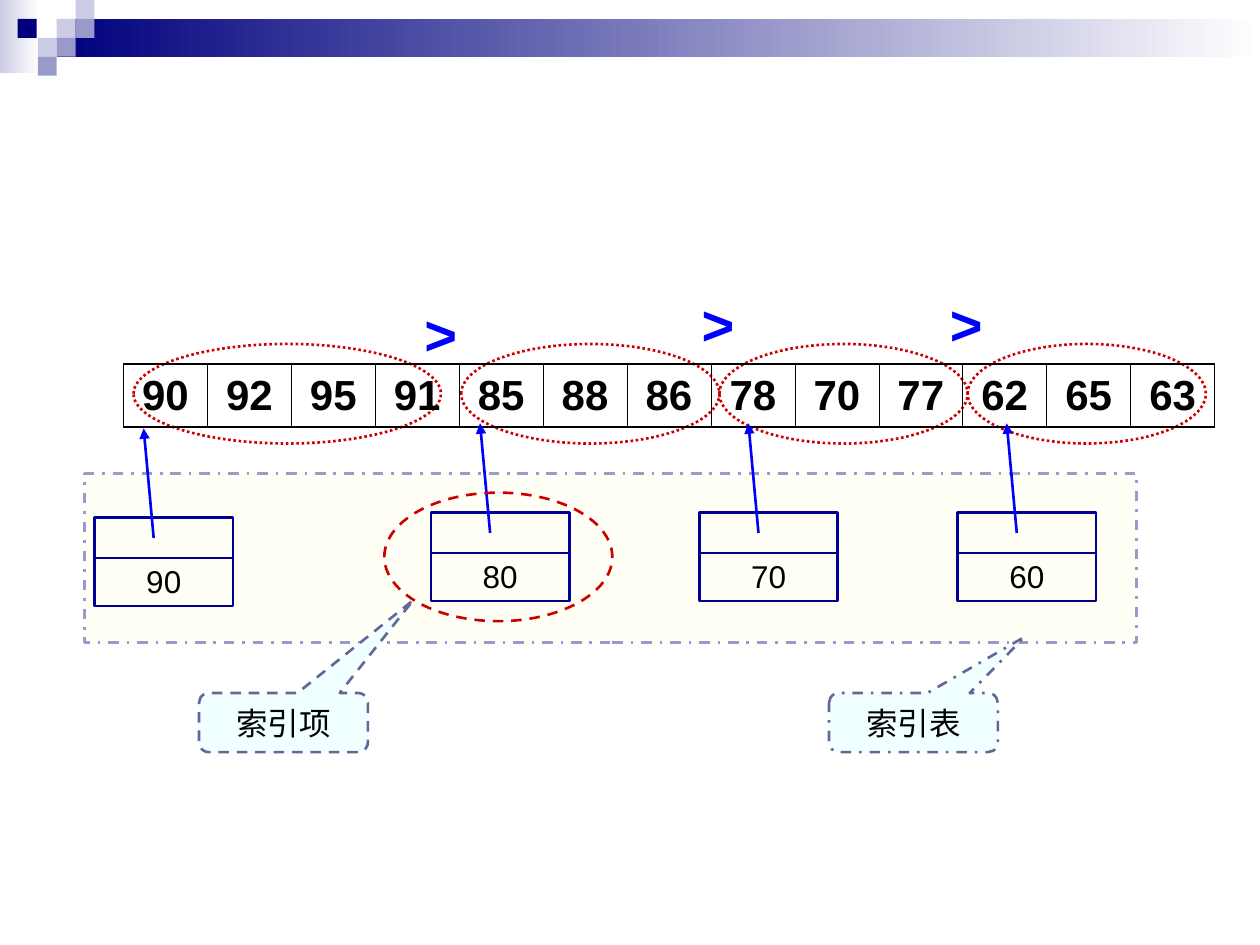
"""Build a slide showing a block-indexed sequence and its index table."""
from lxml import etree
from pptx import Presentation
from pptx.dml.color import RGBColor
from pptx.enum.dml import MSO_LINE
from pptx.enum.shapes import MSO_CONNECTOR, MSO_SHAPE
from pptx.enum.text import MSO_ANCHOR, PP_ALIGN
from pptx.oxml.ns import qn
from pptx.util import Inches, Pt

RECTANGLE = MSO_SHAPE.RECTANGLE
OVAL = MSO_SHAPE.OVAL
CALLOUT = MSO_SHAPE.ROUNDED_RECTANGULAR_CALLOUT
STRAIGHT = MSO_CONNECTOR.STRAIGHT
DASH = MSO_LINE.DASH
DASH_DOT = MSO_LINE.DASH_DOT
DOTTED = MSO_LINE.ROUND_DOT
CENTER = PP_ALIGN.CENTER
LEFT = PP_ALIGN.LEFT
MIDDLE = MSO_ANCHOR.MIDDLE
BOTTOM = MSO_ANCHOR.BOTTOM
TOP = MSO_ANCHOR.TOP

FONT = "Arial"
COLORS = {
    "black": "000000",
    "white": "FFFFFF",
    "navy": "00007D",
    "lavender": "CCCCE6",
    "periwinkle": "9999CC",
    "ivory": "FFFFF5",
    "red": "CC0000",
    "entry": "000099",
    "pointer": "0000FF",
    "callout": "F0FFFF",
    "callout_line": "666699",
}
VALUES = [90, 92, 95, 91, 85, 88, 86, 78, 70, 77, 62, 65, 63]
BLOCK_OVALS = [(1.06, 2.44), (3.66, 2.05), (5.71, 1.97), (7.68, 1.89)]
INDEX_ENTRIES = [("90", 0.75, 4.11), ("80", 3.42, 4.07), ("70", 5.55, 4.07), ("60", 7.6, 4.07)]
GREATER_SIGNS = [(3.27, 2.33), (5.47, 2.25), (7.44, 2.25)]
SQUARE = 0.15
HEADER_SQUARES = [
    (0.45, 0.15, "lavender"),
    (0.6, 0, "lavender"),
    (0.6, 0.15, "periwinkle"),
    (0.3, 0.3, "lavender"),
    (0.14, 0.15, "navy"),
    (0.45, 0.3, "periwinkle"),
    (0.3, 0.45, "periwinkle"),
]


def color(name):
    """Return the named palette colour."""
    return RGBColor.from_string(COLORS[name])


def write_text(frame, text, size, color_name="black", bold=False, align=CENTER, anchor=MIDDLE):
    """Write one run into a text frame."""
    frame.word_wrap = True
    frame.vertical_anchor = anchor
    paragraph = frame.paragraphs[0]
    paragraph.alignment = align
    run = paragraph.add_run()
    run.text = text
    run.font.name = FONT
    run.font.size = Pt(size)
    run.font.bold = bold
    run.font.color.rgb = color(color_name)


def add_figure(slide, kind, box, fill=None, line=None, dash=None):
    """Add a preset shape with an optional fill and outline."""
    shape = slide.shapes.add_shape(kind, *(Inches(value) for value in box))
    shape.shadow.inherit = False
    if fill:
        shape.fill.solid()
        shape.fill.fore_color.rgb = color(fill)
    else:
        shape.fill.background()
    if line:
        shape.line.color.rgb = color(line)
        shape.line.width = Pt(1.5)
        if dash:
            shape.line.dash_style = dash
    else:
        shape.line.fill.background()
    return shape


def add_gradient_bar(slide, box, start):
    """Add a bar that fades to white from left to right."""
    shape = add_figure(slide, RECTANGLE, box)
    shape.fill.gradient()
    shape.fill.gradient_angle = 0
    for stop, name in zip(shape.fill.gradient_stops, (start, "white")):
        stop.color.rgb = color(name)


def add_header(slide):
    """Add the fading bars and the small square mosaic."""
    add_gradient_bar(slide, (0, 0, 0.31, 0.58), "lavender")
    add_gradient_bar(slide, (0.45, 0.15, 9.55, 0.3), "navy")
    for left, top, fill in HEADER_SQUARES:
        add_figure(slide, RECTANGLE, (left, top, SQUARE, SQUARE), fill)


def add_line(slide, start, end, color_name, arrow=False):
    """Add a straight line, with an arrowhead at its end if asked."""
    points = (Inches(value) for value in (*start, *end))
    connector = slide.shapes.add_connector(STRAIGHT, *points)
    connector.line.color.rgb = color(color_name)
    connector.line.width = Pt(1.5)
    if arrow:
        etree.SubElement(connector.line._get_or_add_ln(), qn("a:tailEnd"), type="triangle")
    etree.SubElement(connector._element.spPr, qn("a:effectLst"))


def set_borders(cell, widths):
    """Draw black cell borders from a mapping of side to point width."""
    properties = cell._tc.get_or_add_tcPr()
    for side, width in widths.items():
        border = etree.SubElement(properties, qn(f"a:ln{side}"), w=str(Pt(width)))
        fill = etree.SubElement(border, qn("a:solidFill"))
        etree.SubElement(fill, qn("a:srgbClr"), val=COLORS["black"])


def add_sequence_table(slide):
    """Add the one-row table of stored values."""
    box = (Inches(value) for value in (0.98, 2.89, 8.66, 0.5))
    table = slide.shapes.add_table(1, len(VALUES), *box).table
    table.first_row = table.horz_banding = False
    last = len(VALUES) - 1
    for index, value in enumerate(VALUES):
        table.columns[index].width = Inches(8.66 / len(VALUES))
        cell = table.cell(0, index)
        cell.margin_left = cell.margin_right = Inches(0.04)
        cell.margin_top = cell.margin_bottom = Inches(0.05)
        write_text(cell.text_frame, str(value), 24, bold=True)
        cell.vertical_anchor = MIDDLE
        left = 1.08 if index == 0 else 0.45
        right = 1.08 if index == last else 0.45
        set_borders(cell, {"L": left, "R": right, "T": 1.08, "B": 1.08})
        cell.fill.background()


def add_index_entry(slide, key, left, top):
    """Add a two-part index entry with its pointer into the sequence."""
    box = add_figure(slide, RECTANGLE, (left, top, 1.1, 0.7), line="entry")
    write_text(box.text_frame, key, 18, anchor=BOTTOM)
    add_line(slide, (left, top + 0.32), (left + 1.1, top + 0.32), "entry")
    add_line(slide, (left + 0.47, top + 0.16), (left + 0.39, top - 0.71), "pointer", arrow=True)


def add_callout(slide, text, left, tip, dash):
    """Add a labelled callout whose tip is given as shape adjustments."""
    shape = add_figure(slide, CALLOUT, (left, 5.5, 1.34, 0.47), "callout", "callout_line", dash)
    shape.adjustments[0], shape.adjustments[1] = tip
    write_text(shape.text_frame, text, 18)


def add_greater_sign(slide, left, top):
    """Add a comparison sign between two blocks."""
    box = slide.shapes.add_textbox(Inches(left), Inches(top), Inches(0.47), Inches(0.64))
    write_text(box.text_frame, ">", 32, "pointer", bold=True, align=LEFT, anchor=TOP)


def main():
    """Build and save the slide."""
    presentation = Presentation()
    presentation.slide_width = Inches(10)
    presentation.slide_height = Inches(7.5)
    slide = presentation.slides.add_slide(presentation.slide_layouts[6])
    add_header(slide)
    add_figure(slide, RECTANGLE, (0.67, 3.76, 8.35, 1.34), "ivory", "periwinkle", DASH_DOT)
    for left, width in BLOCK_OVALS:
        add_figure(slide, OVAL, (left, 2.73, width, 0.79), line="red", dash=DOTTED)
    add_sequence_table(slide)
    for key, left, top in INDEX_ENTRIES:
        add_index_entry(slide, key, left, top)
    add_callout(slide, "索引项", 1.58, (0.77, -2.07), DASH)
    add_figure(slide, OVAL, (3.05, 3.91, 1.81, 1.02), line="red", dash=DASH)
    add_callout(slide, "索引表", 6.58, (0.66, -1.45), DASH_DOT)
    for left, top in GREATER_SIGNS:
        add_greater_sign(slide, left, top)
    presentation.save("out.pptx")


if __name__ == "__main__":
    main()
